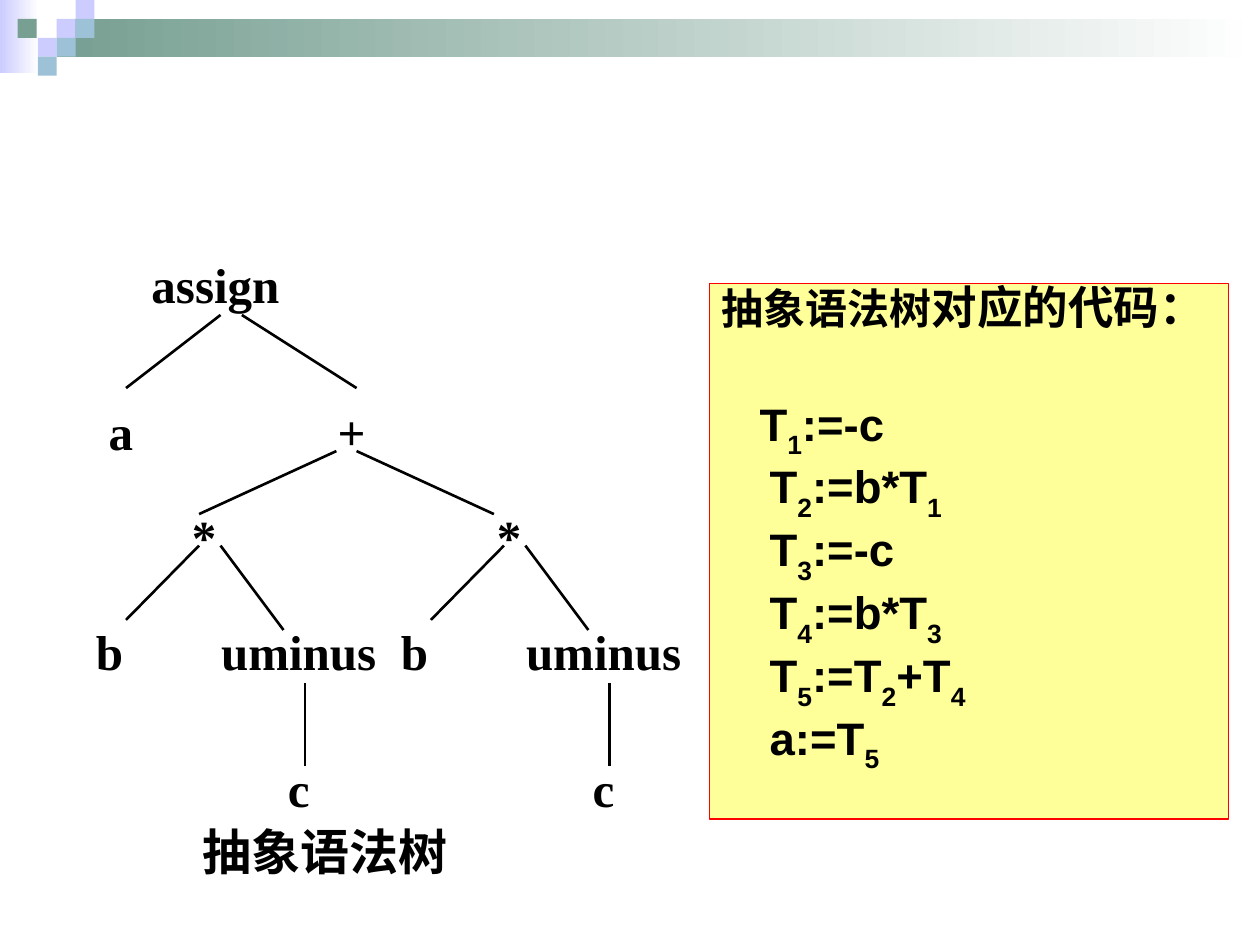
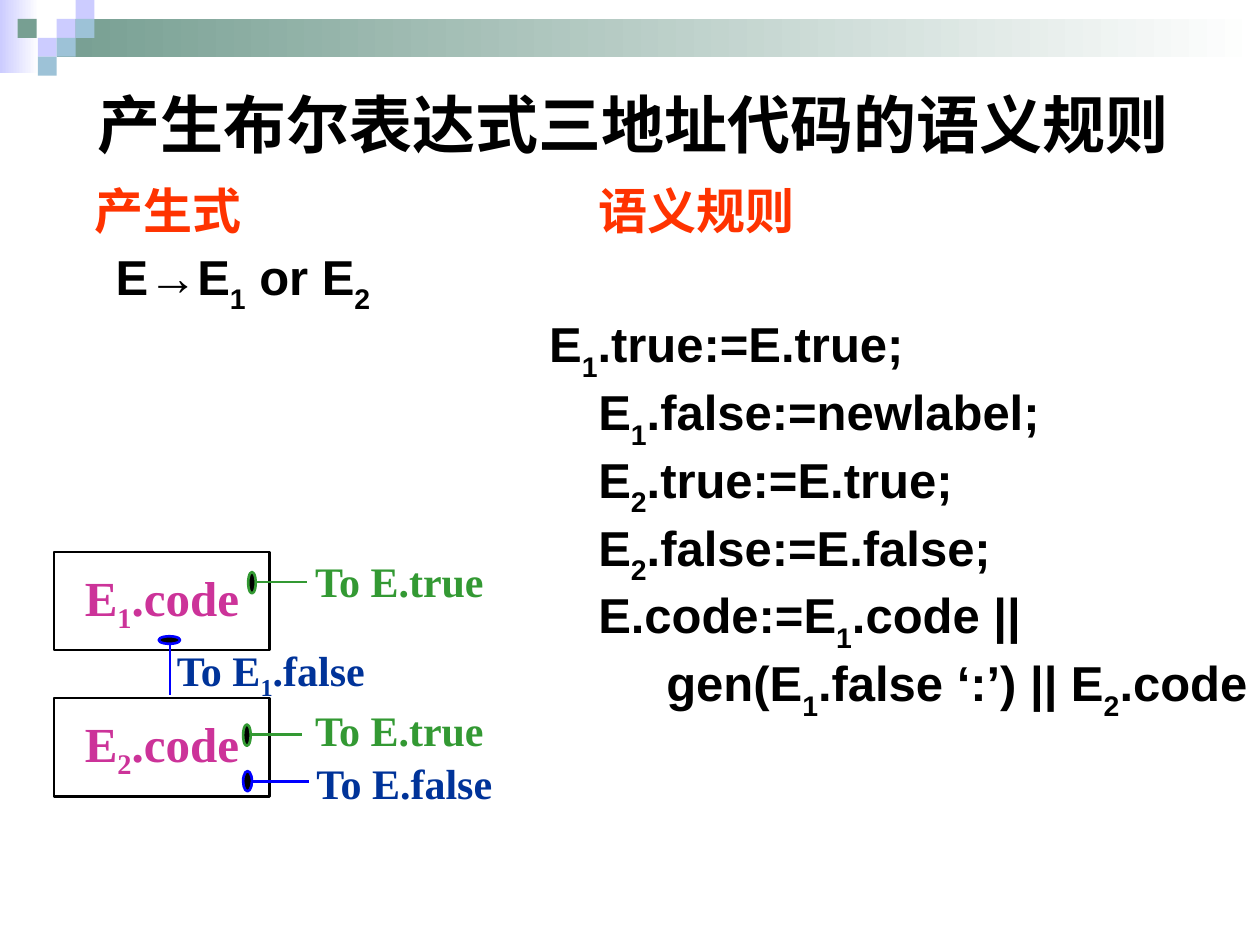
from dataclasses import dataclass

from lxml import etree
from pptx import Presentation
from pptx.dml.color import RGBColor
from pptx.enum import shapes, text
from pptx.oxml import ns
from pptx.shapes.autoshape import Shape
from pptx.slide import Slide
from pptx.text.text import TextFrame, _Paragraph
from pptx.util import Inches, Pt

BLACK = RGBColor(0x00, 0x00, 0x00)
WHITE = RGBColor(0xFF, 0xFF, 0xFF)
LILAC = RGBColor(0xCC, 0xCC, 0xFF)
SAGE = RGBColor(0x77, 0x9F, 0x92)
SKY = RGBColor(0x9D, 0xC2, 0xD7)
YELLOW = RGBColor(0xFF, 0xFF, 0x99)
RED = RGBColor(0xFF, 0x00, 0x00)
ORANGE = RGBColor(0xFF, 0x33, 0x00)
MAGENTA = RGBColor(0xCC, 0x33, 0x99)
GREEN = RGBColor(0x33, 0x99, 0x33)
NAVY = RGBColor(0x00, 0x33, 0x99)
BLUE = RGBColor(0x00, 0x00, 0xFF)

SANS = "Arial"
SERIF = "Times New Roman"
TILE = 0.15
TITLE_ONLY, BLANK = 5, 6


@dataclass(frozen=True)
class Style:
    font: str
    size: float
    color: RGBColor = BLACK
    drop: int = -30  # subscript offset in percent


@dataclass(frozen=True)
class Box:
    left: float
    top: float
    width: float
    height: float

    def lengths(self) -> list[int]:
        return [Inches(v) for v in (self.left, self.top, self.width, self.height)]


@dataclass(frozen=True)
class Label:
    words: str
    x: float  # centre
    y: float
    style: Style
    width: float = 1.08


@dataclass(frozen=True)
class Branch:
    x1: float
    y1: float
    x2: float
    y2: float


@dataclass(frozen=True)
class CodeLine:
    words: str
    indent: float
    style: Style
    before: float


@dataclass(frozen=True)
class Exit:
    """A jump out of a code block: an oval and a line leaving it."""
    oval: Box
    branch: Branch
    color: RGBColor


TREE = Style(SERIF, 28)
CODE = Style(SANS, 26)
RULE = Style(SANS, 28)
HEADING = Style(SANS, 28, ORANGE)
BLOCK = Style(SERIF, 28, MAGENTA, -25)
TO_TRUE = Style(SERIF, 24, GREEN, -25)
TO_FALSE = Style(SERIF, 24, NAVY, -25)

TILES = [
    (0.45, 0.15, LILAC), (0.6, 0, LILAC), (0.6, 0.15, SKY), (0.3, 0.3, LILAC),
    (0.14, 0.15, SAGE), (0.45, 0.3, SKY), (0.3, 0.45, SKY),
]

TOP_LABELS = [
    Label("assign", 1.71, 2.25, TREE, 1.4),
    Label("a", 0.96, 3.42, TREE),
    Label("+", 2.79, 3.42, TREE),
    Label("抽象语法树", 2.58, 6.75, TREE, 2.4),
]
TOP_BRANCHES = [
    Branch(1.75, 2.5, 1, 3.08), Branch(1.92, 2.5, 2.83, 3.08),
    Branch(2.67, 3.58, 1.58, 4.08), Branch(2.83, 3.58, 3.92, 4.08),
]
PRODUCT_LABELS = [
    Label("*", 1.62, 4.25, TREE), Label("b", 0.87, 5.17, TREE),
    Label("uminus", 2.37, 5.17, TREE, 1.6), Label("c", 2.37, 6.25, TREE),
]
PRODUCT_BRANCHES = [
    Branch(1.58, 4.33, 1, 4.92), Branch(1.75, 4.33, 2.25, 5),
    Branch(2.42, 5.42, 2.42, 6.08),
]
PRODUCT_SHIFTS = (0, 2.42)

TREE_CODE = [
    CodeLine("T_1:=-c", 0.3, CODE, 38),
    *(CodeLine(words, 0.38, CODE, 6.5) for words in (
        "T_2:=b*T_1", "T_3:=-c", "T_4:=b*T_3", "T_5:=T_2+T_4", "a:=T_5")),
]

RULES_BOX = Box(0.65, 1.47, 9.35, 4.92)
RULE_COLUMN = 4.0
RULES = [
    CodeLine("产生式", 0, HEADING, 0),
    CodeLine("E→E_1 or E_2", 0.17, RULE, 7),
    CodeLine("E_1.true:=E.true;", 3.61, RULE, 7),
    *(CodeLine(words, RULE_COLUMN, RULE, 7) for words in (
        "E_1.false:=newlabel;", "E_2.true:=E.true;",
        "E_2.false:=E.false;", "E.code:=E_1.code ||")),
    CodeLine("gen(E_1.false ‘:’) || E_2.code", 4.54, RULE, 7),
]
RULE_HEADING_BOX = Box(RULES_BOX.left + RULE_COLUMN, RULES_BOX.top, 2.5, 0.55)
RULE_HEADING = [CodeLine("语义规则", 0, HEADING, 0)]

CODE_BLOCKS = [("E_1.code", 4.38), ("E_2.code", 5.54)]
EXITS = [
    Exit(Box(1.97, 4.54, 0.06, 0.17), Branch(2.03, 4.62, 2.44, 4.62), GREEN),
    Exit(Box(1.26, 5.05, 0.17, 0.06), Branch(1.35, 5.11, 1.35, 5.52), BLUE),
    Exit(Box(1.93, 5.75, 0.06, 0.17), Branch(1.99, 5.83, 2.4, 5.83), GREEN),
    Exit(Box(1.93, 6.12, 0.07, 0.16), Branch(1.99, 6.2, 2.45, 6.2), BLUE),
]
EXIT_LABELS = [
    Label("To E.true", 3.17, 4.61, TO_TRUE, 1.8),
    Label("To E_1.false", 2.15, 5.34, TO_FALSE, 1.9),
    Label("To E.true", 3.17, 5.79, TO_TRUE, 1.8),
    Label("To E.false", 3.21, 6.21, TO_FALSE, 1.8),
]


def write(paragraph: _Paragraph, words: str, style: Style) -> None:
    """Add the words as runs; the character after each "_" is a subscript."""
    first, *rest = words.split("_")
    pieces = [(first, False)]
    for part in rest:
        pieces += [(part[0], True), (part[1:], False)]
    for piece, lowered in pieces:
        if not piece:
            continue
        run = paragraph.add_run()
        run.text = piece
        run.font.name = style.font
        run.font.size = Pt(style.size)
        run.font.bold = True
        run.font.color.rgb = style.color
        if lowered:
            run._r.get_or_add_rPr().set("baseline", str(style.drop * 1000))


def write_lines(frame: TextFrame, lines: list[CodeLine]) -> None:
    frame.word_wrap = True
    frame.vertical_anchor = text.MSO_ANCHOR.TOP
    for number, line in enumerate(lines):
        paragraph = frame.add_paragraph() if number else frame.paragraphs[0]
        paragraph.line_spacing = 0.8
        paragraph.space_before = Pt(line.before)
        properties = paragraph._p.get_or_add_pPr()
        properties.set("marL", str(Inches(line.indent)))
        properties.set("indent", "0")
        write(paragraph, line.words, line.style)


def add_plain(slide: Slide, box: Box, fill: RGBColor | None = None,
              line: RGBColor | None = None, weight: float = 1.5,
              kind: shapes.MSO_SHAPE = shapes.MSO_SHAPE.RECTANGLE) -> Shape:
    """Add a shadowless shape with only the given fill and outline."""
    shape = slide.shapes.add_shape(kind, *box.lengths())
    shape.shadow.inherit = False
    if fill is None:
        shape.fill.background()
    else:
        shape.fill.solid()
        shape.fill.fore_color.rgb = fill
    if line is None:
        shape.line.fill.background()
    else:
        shape.line.color.rgb = line
        shape.line.width = Pt(weight)
    return shape


def add_fading(slide: Slide, box: Box, color: RGBColor) -> None:
    fill = add_plain(slide, box).fill
    fill.gradient()
    fill.gradient_angle = 0
    for stop, stop_color in zip(fill.gradient_stops, (color, WHITE)):
        stop.color.rgb = stop_color


def add_header(slide: Slide) -> None:
    add_fading(slide, Box(0, 0, 0.31, 0.58), LILAC)
    add_fading(slide, Box(0.45, 0.15, 9.55, 0.3), SAGE)
    for left, top, color in TILES:
        add_plain(slide, Box(left, top, TILE, TILE), color)


def center_words(frame: TextFrame, words: str, style: Style) -> None:
    frame.word_wrap = False
    frame.vertical_anchor = text.MSO_ANCHOR.MIDDLE
    frame.paragraphs[0].alignment = text.PP_ALIGN.CENTER
    write(frame.paragraphs[0], words, style)


def add_label(slide: Slide, label: Label, shift: float = 0) -> None:
    height = 0.67
    box = Box(label.x + shift - label.width / 2, label.y - height / 2,
              label.width, height)
    frame = slide.shapes.add_textbox(*box.lengths()).text_frame
    center_words(frame, label.words, label.style)


def add_branch(slide: Slide, branch: Branch, color: RGBColor = BLACK,
               shift: float = 0) -> None:
    line = slide.shapes.add_connector(
        shapes.MSO_CONNECTOR.STRAIGHT,
        Inches(branch.x1 + shift), Inches(branch.y1),
        Inches(branch.x2 + shift), Inches(branch.y2))
    line.line.color.rgb = color
    line.line.width = Pt(1.5)
    etree.SubElement(line._element.spPr, ns.qn("a:effectLst"))


def build_syntax_tree(slide: Slide) -> None:
    add_header(slide)
    code = add_plain(slide, Box(5.63, 2.25, 4.12, 4.25), YELLOW, RED, 0.75).text_frame
    write_lines(code, [CodeLine("", 0, CODE, 0), *TREE_CODE])
    write(code.paragraphs[0], "抽象语法树", Style(SANS, 24))
    write(code.paragraphs[0], "对应的代码：", CODE)
    for paragraph in code.paragraphs:
        paragraph.alignment = text.PP_ALIGN.JUSTIFY

    for label in TOP_LABELS:
        add_label(slide, label)
    for branch in TOP_BRANCHES:
        add_branch(slide, branch)
    for shift in PRODUCT_SHIFTS:
        for label in PRODUCT_LABELS:
            add_label(slide, label, shift)
        for branch in PRODUCT_BRANCHES:
            add_branch(slide, branch, shift=shift)


def build_boolean_rules(slide: Slide) -> None:
    add_header(slide)
    title = slide.shapes.title
    title.left, title.top, title.width, title.height = Box(0.67, 0.37, 9.08, 1.21).lengths()
    title.text_frame.vertical_anchor = text.MSO_ANCHOR.MIDDLE
    heading = title.text_frame.paragraphs[0]
    heading.alignment = text.PP_ALIGN.LEFT
    write(heading, "产生布尔表达式三地址代码的语义规则", Style(SANS, 36))

    for box, lines in ((RULES_BOX, RULES), (RULE_HEADING_BOX, RULE_HEADING)):
        frame = slide.shapes.add_textbox(*box.lengths()).text_frame
        frame.margin_right = 0
        write_lines(frame, lines)

    for words, top in CODE_BLOCKS:
        block = add_plain(slide, Box(0.43, top, 1.71, 0.78), line=BLACK)
        center_words(block.text_frame, words, BLOCK)
    for way_out in EXITS:
        add_branch(slide, way_out.branch, way_out.color)
        add_plain(slide, way_out.oval, BLACK, way_out.color, kind=shapes.MSO_SHAPE.OVAL)
    for label in EXIT_LABELS:
        add_label(slide, label)


def main() -> None:
    deck = Presentation()
    deck.slide_width, deck.slide_height = Inches(10), Inches(7.5)
    build_syntax_tree(deck.slides.add_slide(deck.slide_layouts[BLANK]))
    build_boolean_rules(deck.slides.add_slide(deck.slide_layouts[TITLE_ONLY]))
    deck.save("out.pptx")


if __name__ == "__main__":
    main()
